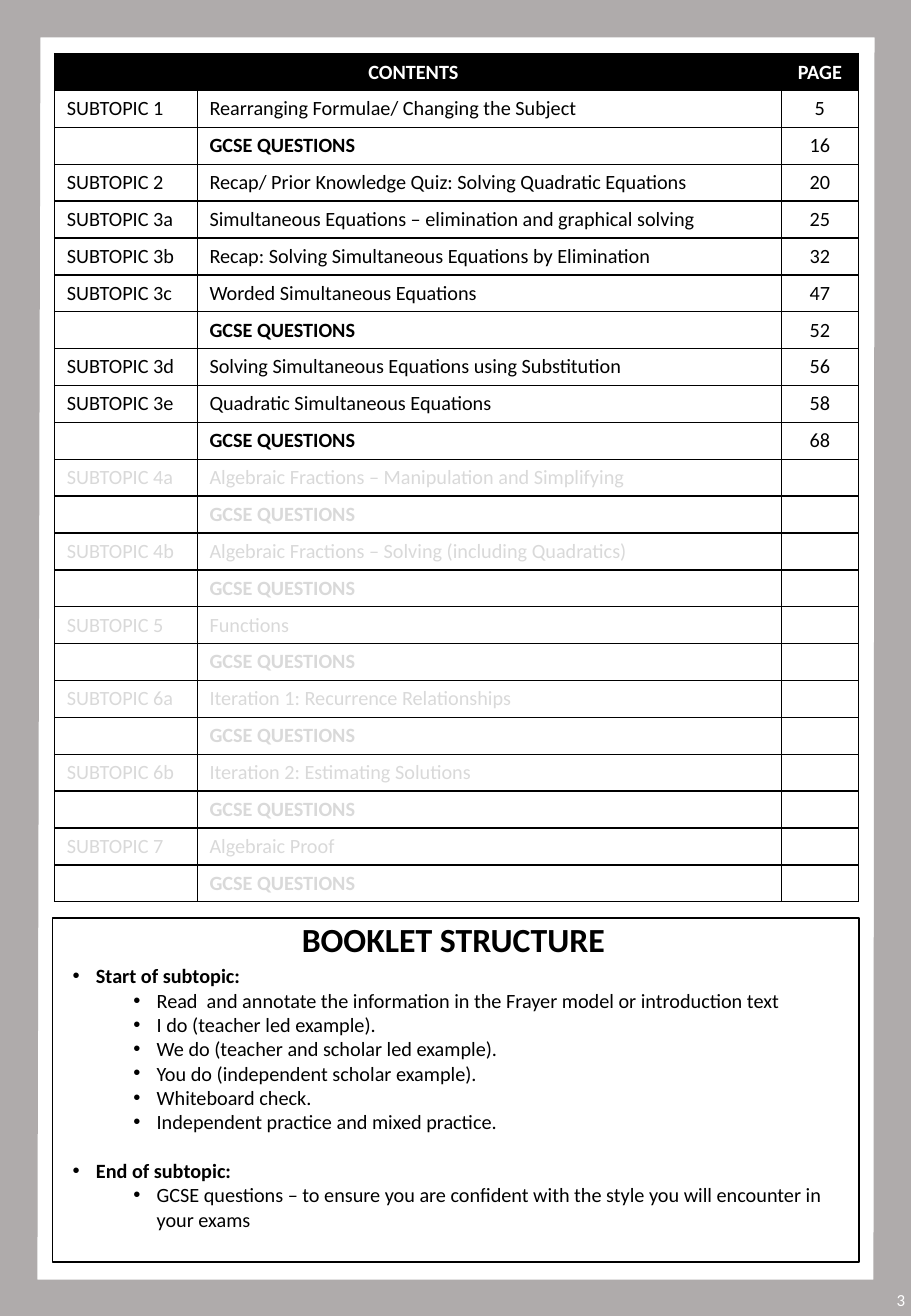
from pptx import Presentation
from pptx.dml.color import RGBColor
from pptx.enum.shapes import MSO_SHAPE
from pptx.enum.text import MSO_ANCHOR, PP_ALIGN
from pptx.oxml.ns import qn
from pptx.util import Pt
from lxml import etree

PX = 7620  # 120 px to the inch
SLIDE_W, SLIDE_H = 900, 1300

BLACK = RGBColor(0x00, 0x00, 0x00)
WHITE = RGBColor(0xFF, 0xFF, 0xFF)
FRAME_GREY = RGBColor(0xAF, 0xAB, 0xAB)
PENDING_GREY = RGBColor(0xD9, 0xD9, 0xD9)

FONT = "Calibri"
LEFT, CENTER = PP_ALIGN.LEFT, PP_ALIGN.CENTER
TOP, MIDDLE = MSO_ANCHOR.TOP, MSO_ANCHOR.MIDDLE
RECTANGLE = MSO_SHAPE.RECTANGLE

GCSE = "GCSE QUESTIONS"
CONTENTS = [
    ("SUBTOPIC 1", "Rearranging Formulae/ Changing the Subject", "5"),
    ("", GCSE, "16"),
    ("SUBTOPIC 2", "Recap/ Prior Knowledge Quiz: Solving Quadratic Equations", "20"),
    ("SUBTOPIC 3a", "Simultaneous Equations – elimination and graphical solving", "25"),
    ("SUBTOPIC 3b", "Recap: Solving Simultaneous Equations by Elimination", "32"),
    ("SUBTOPIC 3c", "Worded Simultaneous Equations", "47"),
    ("", GCSE, "52"),
    ("SUBTOPIC 3d", "Solving Simultaneous Equations using Substitution", "56"),
    ("SUBTOPIC 3e", "Quadratic Simultaneous Equations", "58"),
    ("", GCSE, "68"),
    ("SUBTOPIC 4a", "Algebraic Fractions – Manipulation and Simplifying", ""),
    ("", GCSE, ""),
    ("SUBTOPIC 4b", "Algebraic Fractions – Solving (including Quadratics)", ""),
    ("", GCSE, ""),
    ("SUBTOPIC 5", "Functions", ""),
    ("", GCSE, ""),
    ("SUBTOPIC 6a", "Iteration 1: Recurrence Relationships", ""),
    ("", GCSE, ""),
    ("SUBTOPIC 6b", "Iteration 2: Estimating Solutions", ""),
    ("", GCSE, ""),
    ("SUBTOPIC 7", "Algebraic Proof", ""),
    ("", GCSE, ""),
]
STRUCTURE = [
    ("Start of subtopic:", [
        "Read  and annotate the information in the Frayer model or introduction text",
        "I do (teacher led example).",
        "We do (teacher and scholar led example).",
        "You do (independent scholar example).",
        "Whiteboard check.",
        "Independent practice and mixed practice.",
    ]),
    ("End of subtopic:", [
        "GCSE questions – to ensure you are confident with the style "
        "you will encounter in your exams",
    ]),
]


def add_run(p, text, size=12, color=BLACK, bold=False):
    r = p.add_run()
    r.text = text
    r.font.name = FONT
    r.font.size = Pt(size)
    r.font.bold = bold
    r.font.color.rgb = color


def add_text_frame(s, x, y, w, h, anchor=TOP):
    tf = s.shapes.add_textbox(x * PX, y * PX, w * PX, h * PX).text_frame
    tf.word_wrap = True
    tf.vertical_anchor = anchor
    return tf


def add_bullet(p, indent, hanging=23):
    pPr = p._p.get_or_add_pPr()
    pPr.set("marL", str(indent * PX))
    pPr.set("indent", str(-hanging * PX))
    etree.SubElement(pPr, qn("a:buFont")).set("typeface", "Arial")
    etree.SubElement(pPr, qn("a:buChar")).set("char", "•")


def add_cell_borders(cell):
    tcPr = cell._tc.get_or_add_tcPr()
    for side in ("lnL", "lnR", "lnT", "lnB"):
        ln = etree.SubElement(tcPr, qn("a:" + side), w=str(Pt(1)))
        fill = etree.SubElement(ln, qn("a:solidFill"))
        etree.SubElement(fill, qn("a:srgbClr")).set("val", str(BLACK))


def fill_cell(cell, text, align=LEFT, color=BLACK, bold=False):
    cell.vertical_anchor = MIDDLE
    p = cell.text_frame.paragraphs[0]
    p.alignment = align
    if text:
        add_run(p, text, color=color, bold=bold)
    else:
        p._p.get_or_add_endParaRPr().set("sz", "1200")


def add_contents_table(s, x, y, w, row_h):
    rows = len(CONTENTS) + 1
    table = s.shapes.add_table(rows, 3, x * PX, y * PX, w * PX, rows * row_h * PX).table
    topic_w, page_w = 141, 76
    for column, width in zip(table.columns, (topic_w, w - topic_w - page_w, page_w)):
        column.width = width * PX
    for row in table.rows:
        row.height = row_h * PX
    for cell in table.iter_cells():
        add_cell_borders(cell)
        cell.fill.background()

    for cell in table.rows[0].cells:
        cell.fill.solid()
        cell.fill.fore_color.rgb = BLACK
    heading = table.cell(0, 0)
    heading.merge(table.cell(0, 1))
    heading.margin_right = 21 * PX
    fill_cell(heading, "CONTENTS", CENTER, WHITE, True)
    fill_cell(table.cell(0, 2), "PAGE", CENTER, WHITE, True)

    for i, (topic, title, page) in enumerate(CONTENTS, 1):
        color = BLACK if page else PENDING_GREY
        fill_cell(table.cell(i, 0), topic, color=color)
        fill_cell(table.cell(i, 1), title, color=color, bold=title == GCSE)
        fill_cell(table.cell(i, 2), page, CENTER)


def add_page_frame(s, w, h):
    """Grey border with a white, slightly slanted opening."""
    fb = s.shapes.build_freeform(0, 0, scale=PX)
    fb.add_line_segments([(w, 0), (w, h), (0, h)])
    fb.move_to(40, 37)
    fb.add_line_segments([(37, h - 36), (w - 37, h - 36), (w - 36, 37)])
    frame = fb.convert_to_shape()
    frame.shadow.inherit = False
    frame.fill.solid()
    frame.fill.fore_color.rgb = FRAME_GREY
    frame.line.fill.background()


def add_page_number(s, x, y, w, h):
    tf = add_text_frame(s, x, y, w, h, MIDDLE)
    tf.margin_left = tf.margin_right = 0
    p = tf.paragraphs[0]
    p.alignment = CENTER
    add_run(p, "3", 10, WHITE)


def add_booklet_structure(s, x, y, w, h):
    box = s.shapes.add_shape(RECTANGLE, x * PX, y * PX, w * PX, h * PX)
    box.shadow.inherit = False
    box.fill.background()
    box.line.color.rgb = BLACK
    box.line.width = Pt(1)

    p = add_text_frame(s, x + 174, y - 5, 444, 53).paragraphs[0]
    p.alignment = CENTER
    add_run(p, "BOOKLET STRUCTURE", 20, bold=True)

    tf = add_text_frame(s, x + 8, y + 39, w - 10, h - 39)
    for i, (stage, steps) in enumerate(STRUCTURE):
        p = tf.add_paragraph() if i else tf.paragraphs[0]
        if i:
            p.space_before = Pt(14.6)
        add_bullet(p, 23)
        add_run(p, stage, bold=True)
        for step in steps:
            p = tf.add_paragraph()
            p.level = 1
            add_bullet(p, 83)
            add_run(p, step)


def main():
    prs = Presentation()
    prs.slide_width, prs.slide_height = SLIDE_W * PX, SLIDE_H * PX
    s = prs.slides.add_slide(prs.slide_layouts[6])
    add_contents_table(s, 54, 53, 794, 36)
    add_page_frame(s, SLIDE_W, SLIDE_H)
    add_page_number(s, 880, 1267, 20, 44 - 11)
    add_booklet_structure(s, 52, 907, 797, 340)
    prs.save("out.pptx")


if __name__ == "__main__":
    main()
